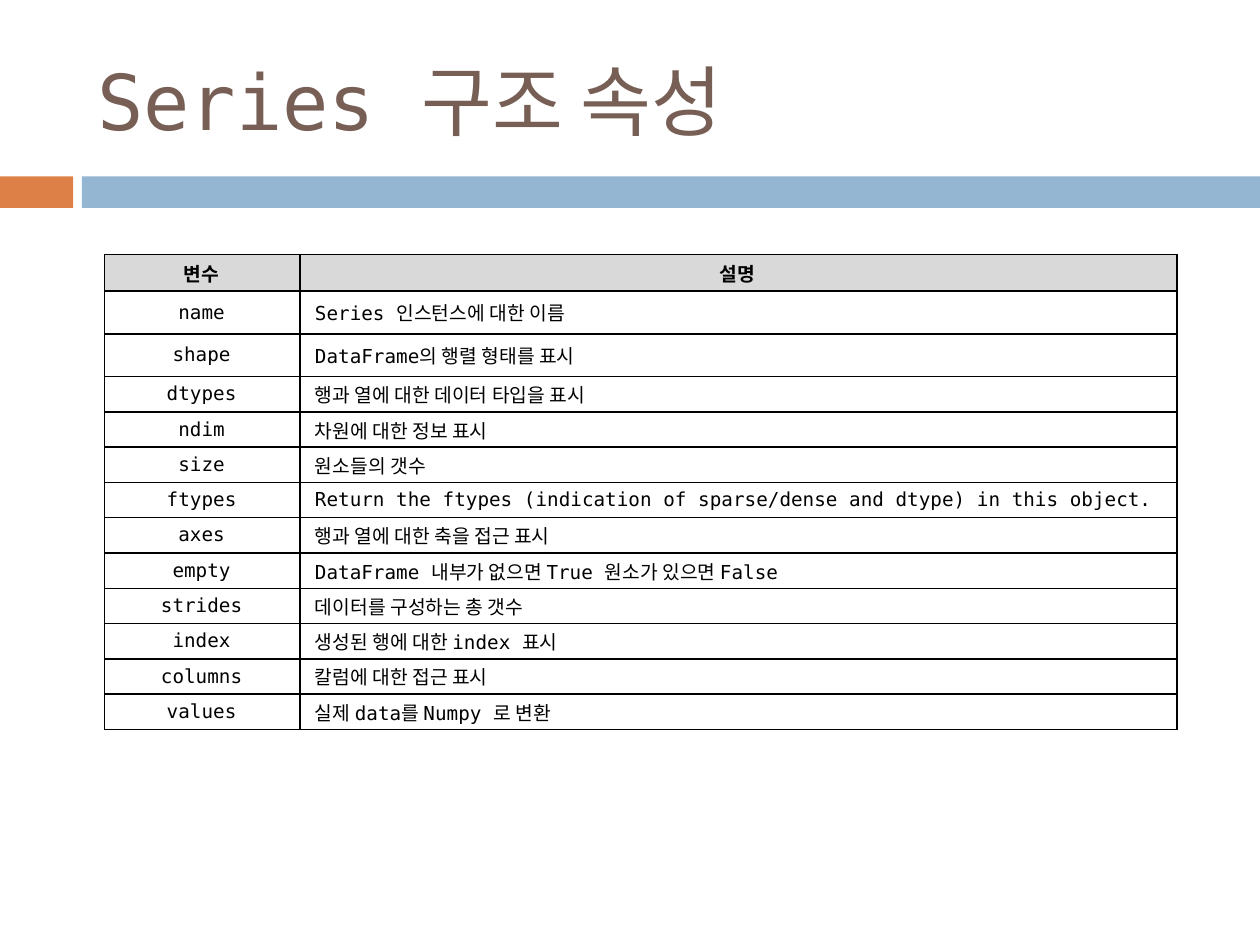
from lxml import etree
from pptx import Presentation
from pptx.dml.color import RGBColor
from pptx.enum.shapes import MSO_SHAPE
from pptx.enum.text import MSO_ANCHOR, PP_ALIGN
from pptx.oxml.ns import qn
from pptx.util import Inches, Pt

RECTANGLE = MSO_SHAPE.RECTANGLE
MIDDLE = MSO_ANCHOR.MIDDLE
LEFT, CENTER = PP_ALIGN.LEFT, PP_ALIGN.CENTER

FONT = "DejaVu Sans Mono"
COLORS = {
    "title": "775F55",
    "accent": "DD8047",
    "band": "94B6D2",
    "header": "D9D9D9",
    "body": "FFFFFF",
    "ink": "000000",
}
SLIDE_WIDTH, SLIDE_HEIGHT = 10, 7.5
BAND_TOP, BAND_HEIGHT = 1.4, 0.25
ACCENT_WIDTH, BAND_LEFT = 0.58, 0.65
TABLE_LEFT, TABLE_TOP = 0.83, 2.02
COLUMN_WIDTHS = [1.55, 6.96]
HEADER_HEIGHT, TALL_ROW, ROW = 0.29, 0.34, 0.28
TALL_ROWS = 2

HEADINGS = ("변수", "설명")
ATTRIBUTES = [
    ("name", "Series 인스턴스에 대한 이름"),
    ("shape", "DataFrame의 행렬 형태를 표시"),
    ("dtypes", "행과 열에 대한 데이터 타입을 표시"),
    ("ndim", "차원에 대한 정보 표시"),
    ("size", "원소들의 갯수"),
    ("ftypes", "Return the ftypes (indication of sparse/dense and dtype) in this object."),
    ("axes", "행과 열에 대한 축을 접근 표시"),
    ("empty", "DataFrame 내부가 없으면 True 원소가 있으면 False"),
    ("strides", "데이터를 구성하는 총 갯수"),
    ("index", "생성된 행에 대한 index 표시"),
    ("columns", "칼럼에 대한 접근 표시"),
    ("values", "실제 data를 Numpy 로 변환"),
]


def color(name):
    return RGBColor.from_string(COLORS[name])


def format_text(frame, size, ink, align, bold=False):
    paragraph = frame.paragraphs[0]
    paragraph.alignment = align
    for run in paragraph.runs:
        run.font.name = FONT
        run.font.size = Pt(size)
        run.font.bold = bold
        run.font.color.rgb = color(ink)


def set_title(slide, wording):
    title = slide.shapes.title
    title.left, title.top = Inches(0.67), Inches(0.25)
    title.width, title.height = Inches(8.92), Inches(1.08)
    title.text_frame.text = wording
    title.text_frame.vertical_anchor = MIDDLE
    format_text(title.text_frame, 44, "title", LEFT)


def add_band(slide, left, width, fill):
    band = slide.shapes.add_shape(
        RECTANGLE, Inches(left), Inches(BAND_TOP), Inches(width), Inches(BAND_HEIGHT))
    band.shadow.inherit = False
    band.fill.solid()
    band.fill.fore_color.rgb = color(fill)
    band.line.fill.background()


def set_borders(cell):
    """Draw a 1 pt line on all four sides; the lines must precede the cell fill."""
    properties = cell._tc.get_or_add_tcPr()
    for position, side in enumerate(("a:lnL", "a:lnR", "a:lnT", "a:lnB")):
        line = etree.Element(qn(side), w=str(Pt(1)))
        fill = etree.SubElement(line, qn("a:solidFill"))
        etree.SubElement(fill, qn("a:srgbClr"), val=COLORS["ink"])
        properties.insert(position, line)


def fill_cell(cell, wording, is_header, is_description):
    left_aligned = is_description and not is_header
    cell.text_frame.text = wording
    cell.vertical_anchor = MIDDLE
    cell.margin_left = Inches(0.12 if left_aligned else 0.03)
    cell.margin_right = Inches(0.04)
    cell.margin_top = cell.margin_bottom = Inches(0.01)
    cell.fill.solid()
    cell.fill.fore_color.rgb = color("header" if is_header else "body")
    format_text(cell.text_frame, 11, "ink", LEFT if left_aligned else CENTER, is_header)
    set_borders(cell)


def add_attribute_table(slide):
    entries = [HEADINGS] + ATTRIBUTES
    short_rows = len(ATTRIBUTES) - TALL_ROWS
    heights = [HEADER_HEIGHT] + [TALL_ROW] * TALL_ROWS + [ROW] * short_rows
    table = slide.shapes.add_table(
        len(entries), len(COLUMN_WIDTHS), Inches(TABLE_LEFT), Inches(TABLE_TOP),
        Inches(sum(COLUMN_WIDTHS)), Inches(sum(heights))).table
    for column, width in zip(table.columns, COLUMN_WIDTHS):
        column.width = Inches(width)
    for row_index, (entry, height) in enumerate(zip(entries, heights)):
        table.rows[row_index].height = Inches(height)
        for column_index, wording in enumerate(entry):
            fill_cell(table.cell(row_index, column_index), wording,
                      row_index == 0, column_index == 1)


def main():
    presentation = Presentation()
    presentation.slide_width = Inches(SLIDE_WIDTH)
    presentation.slide_height = Inches(SLIDE_HEIGHT)
    slide = presentation.slides.add_slide(presentation.slide_layouts[5])
    add_band(slide, 0, ACCENT_WIDTH, "accent")
    add_band(slide, BAND_LEFT, SLIDE_WIDTH - BAND_LEFT, "band")
    set_title(slide, "Series 구조 속성")
    add_attribute_table(slide)
    presentation.save("out.pptx")


if __name__ == "__main__":
    main()
